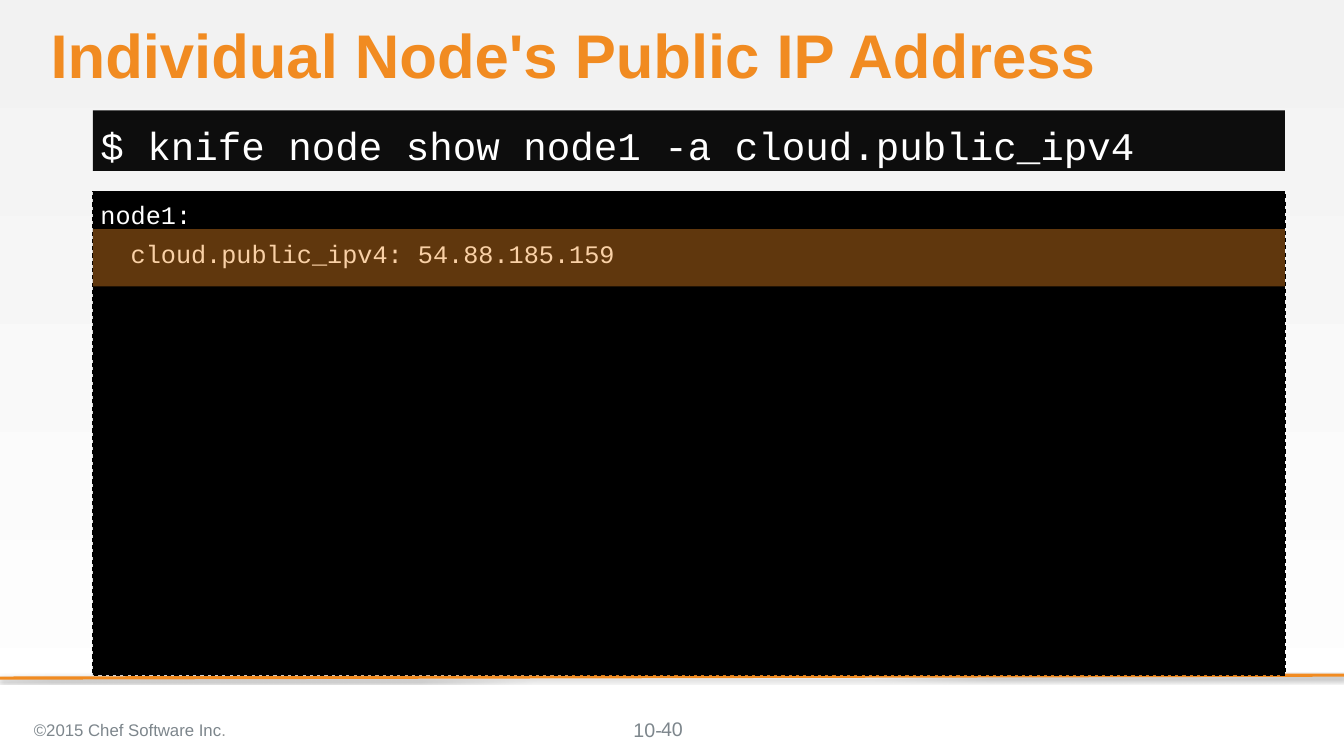
from lxml.etree import SubElement
from pptx import Presentation
from pptx.dml.color import RGBColor
from pptx.enum.dml import MSO_LINE
from pptx.enum.shapes import MSO_CONNECTOR, MSO_SHAPE
from pptx.enum.text import MSO_ANCHOR, PP_ALIGN
from pptx.oxml.ns import qn
from pptx.util import Pt

ORANGE, GREY, WHITE, BLACK = "F18B21", "7D868C", "FFFFFF", "000000"
SANS, MONO = "Arial", "Courier New"
LEFT, WIDTH = 88.56, 1135.44


def rgb(value):
    return RGBColor.from_string(value)


class Deck:
    """Holds the presentation, the current slide and its drawing style."""

    def __init__(self, width, height):
        self.prs = Presentation()
        self.prs.slide_width, self.prs.slide_height = Pt(width), Pt(height)
        self.s = self.prs.slides.add_slide(self.prs.slide_layouts[6])

    def background(self, top, bottom):
        fill = self.s.background.fill
        fill.gradient()
        fill.gradient_angle = 270
        for stop, color in zip(fill.gradient_stops, (top, bottom)):
            stop.color.rgb = rgb(color)

    def rect(self, x, y, w, h, color, alpha=None, dash=None):
        sp = self.s.shapes.add_shape(MSO_SHAPE.RECTANGLE, Pt(x), Pt(y), Pt(w), Pt(h))
        sp.shadow.inherit = False
        sp.fill.solid()
        sp.fill.fore_color.rgb = rgb(color)
        if alpha:
            clr = sp._element.spPr.find(".//" + qn("a:srgbClr"))
            SubElement(clr, qn("a:alpha"), val=str(alpha * 1000))
        if dash:
            sp.line.color.rgb = rgb(color)
            sp.line.width = Pt(1)
            sp.line.dash_style = dash
        else:
            sp.line.fill.background()
        return sp

    def box(self, x, y, w, h):
        return self.s.shapes.add_textbox(Pt(x), Pt(y), Pt(w), Pt(h))

    def text(self, sp, paragraphs, size, color, font=SANS, bold=False, align=PP_ALIGN.LEFT,
             anchor=MSO_ANCHOR.TOP, insets=(7.2, 3.6, 7.2, 3.6), before=0, spacing=None):
        tf = sp.text_frame
        tf.word_wrap = True
        tf.vertical_anchor = anchor
        tf.margin_left, tf.margin_top, tf.margin_right, tf.margin_bottom = map(Pt, insets)
        for i, runs in enumerate(paragraphs):
            p = tf.add_paragraph() if i else tf.paragraphs[0]
            p.alignment = align
            if i:
                p.space_before = Pt(before)
            if spacing:
                p.line_spacing = spacing
            for words, *tint in runs:
                r = p.add_run()
                r.text = words
                r.font.name, r.font.size, r.font.bold = font, Pt(size), bold
                r.font.color.rgb = rgb(tint[0] if tint else color)

    def rule(self, x1, y1, x2, y2, color, width):
        line = self.s.shapes.add_connector(MSO_CONNECTOR.STRAIGHT, Pt(x1), Pt(y1), Pt(x2), Pt(y2))
        line.line.color.rgb = rgb(color)
        line.line.width = Pt(width)
        effects = SubElement(line._element.spPr, qn("a:effectLst"))
        shadow = SubElement(effects, qn("a:outerShdw"), blurRad=str(Pt(3.1)), dist=str(Pt(1.8)),
                            dir="5400000", rotWithShape="0")
        clr = SubElement(shadow, qn("a:srgbClr"), val=BLACK)
        SubElement(clr, qn("a:alpha"), val="35000")


def main():
    deck = Deck(1280.16, 720)
    deck.background("F2F2F2", WHITE)
    deck.rule(1280.16, 642.96, 0, 645.84, ORANGE, 3)

    output = deck.rect(LEFT, 182.16, WIDTH, 460.8, BLACK, dash=MSO_LINE.DASH)
    deck.text(output, [[("node1:",)], [("  cloud.public_ipv4: 54.88.185.159",)]],
              24, WHITE, MONO, insets=(7.2, 8, 7.2, 3.6), before=8)

    title = deck.box(48.24, 23.76, 1175.76, 65.52)
    deck.text(title, [[("Individual Node's Public IP Address",)]], 58.7, ORANGE,
              bold=True, insets=(0, 0, 0, 0), spacing=0.9)

    command = deck.rect(LEFT, 105.12, WIDTH, 57.6, "0D0D0D")
    deck.text(command, [[("$ knife node show node1 -a cloud.public_ipv4",)]], 37.3, WHITE, MONO,
              anchor=MSO_ANCHOR.MIDDLE, insets=(7.2, 8, 0, 0))

    deck.rect(LEFT, 218.16, WIDTH, 54.72, ORANGE, alpha=40)

    copyright_line = deck.box(25.2, 675.36, 447.12, 40.32)
    deck.text(copyright_line, [[("©2015 Chef Software Inc",), (".", "929494")]], 16, GREY,
              anchor=MSO_ANCHOR.MIDDLE)
    chapter = deck.box(600.48, 683.28, 57.6, 22.32)
    deck.text(chapter, [[("10-",)]], 18.7, GREY, insets=(2.88, 0, 0, 0))
    page = deck.box(496.08, 675.36, 288, 38.16)
    deck.text(page, [[("40",)]], 18.7, GREY, align=PP_ALIGN.CENTER, anchor=MSO_ANCHOR.MIDDLE)

    deck.prs.save("out.pptx")


if __name__ == "__main__":
    main()
